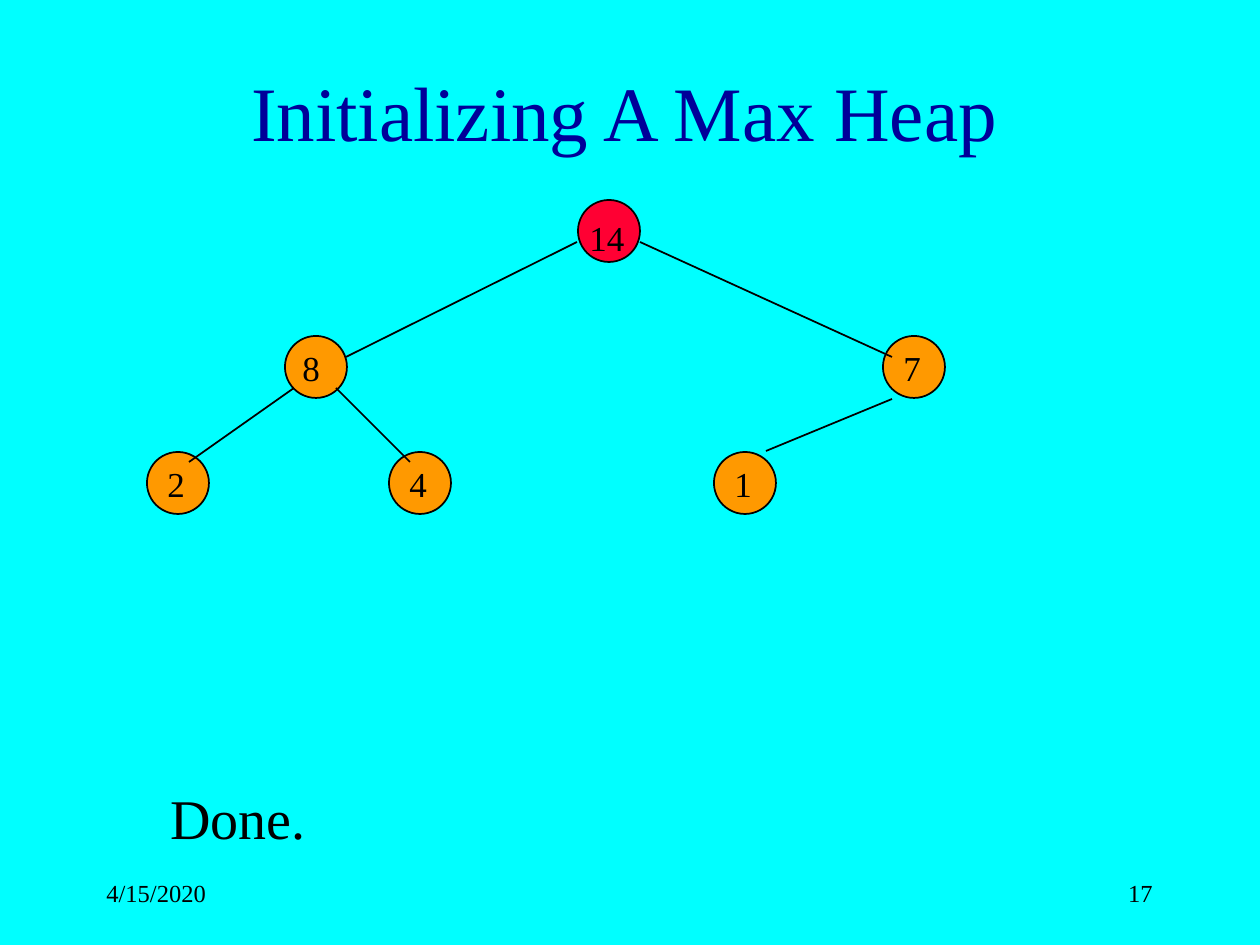
from pptx import Presentation
from pptx.dml.color import RGBColor as Rgb
from pptx.enum.shapes import MSO_CONNECTOR as Link, MSO_SHAPE as Form
from pptx.enum.text import MSO_ANCHOR as Anchor, PP_ALIGN as Align
from pptx.util import Emu, Pt
from lxml.etree import SubElement
from pptx.oxml.ns import qn

SCALE = 914400 / 126
FONT = "Times New Roman"
HUES = {"back": "00FFFF", "title": "000099", "ink": "000000",
        "root": "FF0033", "node": "FF9900"}
SIZE = 62

# text, left, top, fill, label dx, label dy, label width
NODES = [
    ("14", 578, 200, "root", -1, 10, 116),
    ("8", 285, 336, "node", 5, 4, 43),
    ("7", 883, 336, "node", 8, 4, 43),
    ("2", 147, 452, "node", 8, 4, 43),
    ("4", 389, 452, "node", 8, 4, 43),
    ("1", 714, 452, "node", 8, 4, 43),
]
EDGES = [
    (577, 242, 346, 357),
    (640, 242, 892, 357),
    (294, 388, 189, 462),
    (336, 388, 410, 462),
    (892, 399, 766, 451),
]


def px(*nums):
    return [Emu(round(n * SCALE)) for n in nums]


def hue(name):
    return Rgb.from_string(HUES[name])


def add_text(slide, text, box, size, color="ink", align=Align.LEFT,
             anchor=Anchor.TOP):
    frame = slide.shapes.add_textbox(*px(*box)).text_frame
    frame.word_wrap = True
    frame.vertical_anchor = anchor
    para = frame.paragraphs[0]
    para.alignment = align
    run = para.add_run()
    run.text = text
    run.font.name = FONT
    run.font.size = Pt(size)
    run.font.color.rgb = hue(color)


def add_node(slide, left, top, fill):
    node = slide.shapes.add_shape(Form.OVAL, *px(left, top, SIZE, SIZE))
    node.shadow.inherit = False
    node.fill.solid()
    node.fill.fore_color.rgb = hue(fill)
    node.line.color.rgb = hue("ink")
    node.line.width = Pt(1)


def add_edge(slide, ends):
    edge = slide.shapes.add_connector(Link.STRAIGHT, *px(*ends))
    edge.line.color.rgb = hue("ink")
    edge.line.width = Pt(1)
    SubElement(edge._element.spPr, qn("a:effectLst"))


def main():
    deck = Presentation()
    deck.slide_width, deck.slide_height = px(1260, 945)
    slide = deck.slides.add_slide(deck.slide_layouts[6])
    slide.background.fill.solid()
    slide.background.fill.fore_color.rgb = hue("back")

    add_text(slide, "Initializing A Max Heap", (10, 32, 1229, 157), 44,
             "title", Align.CENTER, Anchor.MIDDLE)
    for text, left, top, fill, dx, dy, wide in NODES:
        add_node(slide, left, top, fill)
    for ends in EDGES:
        add_edge(slide, ends)
    for text, left, top, fill, dx, dy, wide in NODES:
        add_text(slide, text, (left + dx, top + dy, wide, 55), 20)
    add_text(slide, "Done.", (158, 777, 914, 81), 32)
    add_text(slide, "4/15/2020", (94, 861, 262, 63), 14,
             anchor=Anchor.MIDDLE)
    add_text(slide, "17", (903, 861, 262, 63), 14,
             align=Align.RIGHT, anchor=Anchor.MIDDLE)
    deck.save("out.pptx")


if __name__ == "__main__":
    main()
